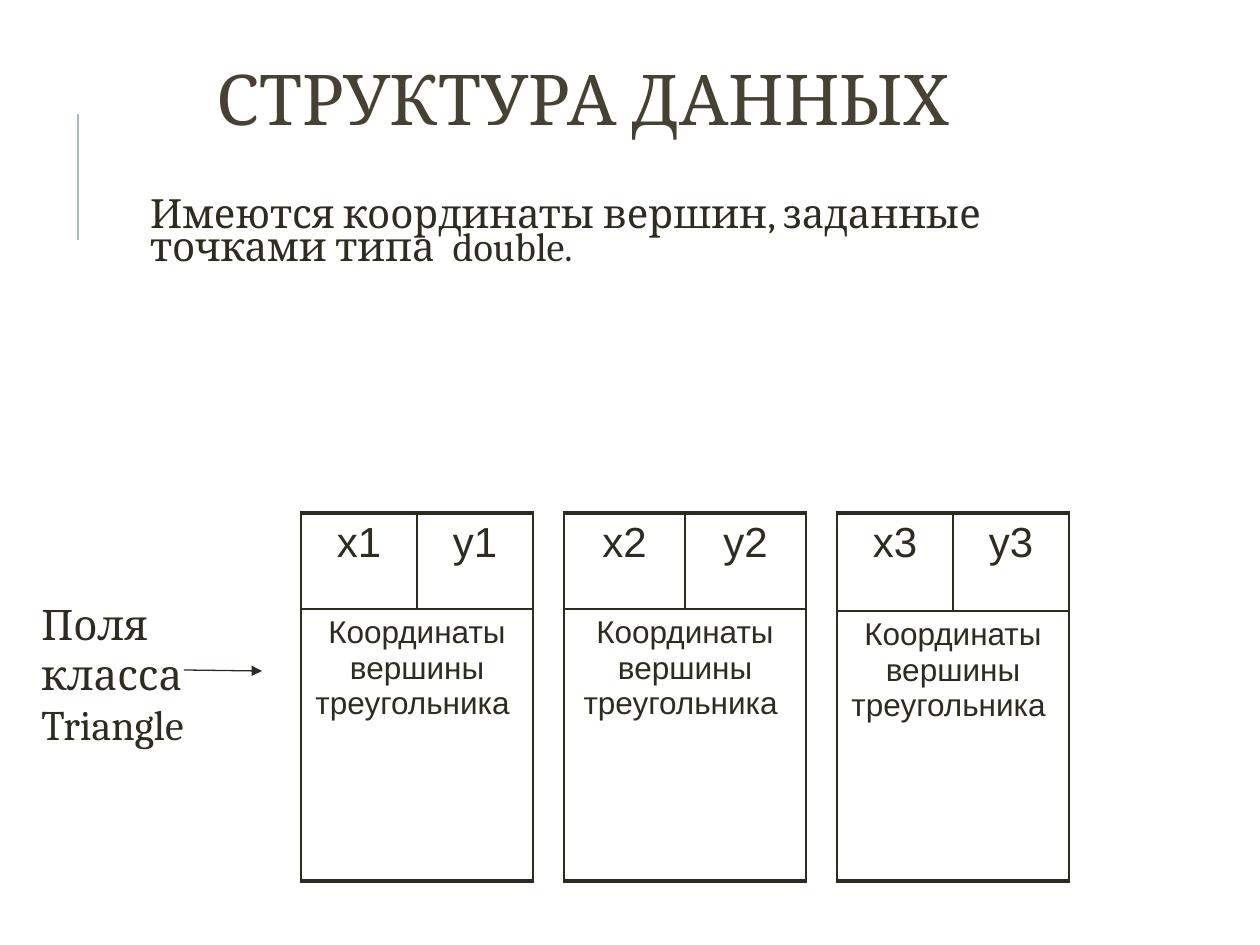
from lxml.etree import SubElement
from pptx import Presentation
from pptx.dml.color import RGBColor
from pptx.enum.shapes import MSO_CONNECTOR
from pptx.enum.text import MSO_ANCHOR, MSO_AUTO_SIZE, PP_ALIGN
from pptx.oxml.ns import qn
from pptx.util import Pt


class Theme:
    text = RGBColor(0x2E, 0x2B, 0x21)
    title = RGBColor(0x46, 0x41, 0x32)
    accent = RGBColor(0x9C, 0xBE, 0xBD)
    serif, sans = "Cambria", "Arial"
    title_size, body_size, label_size, note_size = Pt(40), Pt(23), Pt(24), Pt(18)
    thin, thick = Pt(1), Pt(2.25)


PX = 914400 / 126  # EMU per pixel


def box(*lengths):
    return [round(length * PX) for length in lengths]


def style(paragraph, name, size, color, alignment=PP_ALIGN.LEFT, spacing=1.0):
    paragraph.font.name, paragraph.font.size = name, size
    paragraph.font.color.rgb = color
    paragraph.alignment = alignment
    paragraph.line_spacing = spacing
    paragraph.space_before = Pt(0)


presentation = Presentation()
presentation.slide_width, presentation.slide_height = box(1260, 945)
slide = presentation.slides.add_slide(presentation.slide_layouts[1])

# Title
title = slide.shapes.title
title.left, title.top, title.width, title.height = box(63, 16, 1040, 179)
frame = title.text_frame
frame.text = "СТРУКТУРА ДАННЫХ"
frame.auto_size = MSO_AUTO_SIZE.NONE
frame.vertical_anchor = MSO_ANCHOR.MIDDLE
style(frame.paragraphs[0], Theme.serif, Theme.title_size, Theme.title, PP_ALIGN.CENTER, 0.8)

# Body text
body = slide.placeholders[1]
body.left, body.top, body.width, body.height = box(131, 195, 963, 208)
frame = body.text_frame
frame.text = "Имеются координаты вершин, заданные точками типа  double."
frame.auto_size = MSO_AUTO_SIZE.NONE
frame.margin_left = frame.margin_top = frame.margin_right = frame.margin_bottom = box(6)[0]
paragraph = frame.paragraphs[0]
style(paragraph, Theme.serif, Theme.body_size, Theme.text, spacing=0.7)
properties = paragraph._p.get_or_add_pPr()
properties.set("marL", str(box(13)[0]))
properties.set("indent", "0")
SubElement(properties, qn("a:buNone"))

# Accent rule and arrow from the label to the tables
for ends, color, width, arrow in (
    ((78, 240, 78, 114), Theme.accent, Pt(1.5), False),
    ((184, 670, 262, 671), Theme.text, Pt(0.75), True),
):
    connector = slide.shapes.add_connector(MSO_CONNECTOR.STRAIGHT, *box(*ends))
    connector.line.color.rgb, connector.line.width = color, width
    if arrow:
        SubElement(connector.line._get_or_add_ln(), qn("a:tailEnd"), type="triangle")
    SubElement(connector._element.spPr, qn("a:effectLst"))

# Label of the class fields
label = slide.shapes.add_textbox(*box(29, 592, 233, 164))
frame = label.text_frame
frame.word_wrap = True
frame.text = "Поля класса Triangle"
style(frame.paragraphs[0], Theme.serif, Theme.label_size, Theme.text)

# One table of coordinates for each vertex
for number, (left, column_width, head_height) in enumerate(
    ((301, 116, 96), (564, 121, 96), (837, 116, 98)), start=1
):
    table = slide.shapes.add_table(2, 2, *box(left, 513, 2 * column_width, 368)).table
    table.first_row = table.horz_banding = False
    for column in table.columns:
        column.width = box(column_width)[0]
    table.rows[0].height, table.rows[1].height = box(head_height, 368 - head_height)
    table.cell(1, 0).merge(table.cell(1, 1))
    table.cell(0, 0).text, table.cell(0, 1).text = f"x{number}", f"y{number}"
    table.cell(1, 0).text = "Координаты вершины треугольника "

    for row in range(2):
        size = Theme.note_size if row else Theme.label_size
        for column in range(2):
            cell = table.cell(row, column)
            style(cell.text_frame.paragraphs[0], Theme.sans, size, Theme.text, PP_ALIGN.CENTER)
            properties = cell._tc.get_or_add_tcPr()
            for side in "LRTB":
                outer = (row, side) in ((0, "T"), (1, "B"))
                width = Theme.thick if outer else Theme.thin
                border = SubElement(properties, qn(f"a:ln{side}"), w=str(width))
                fill = SubElement(border, qn("a:solidFill"))
                SubElement(fill, qn("a:srgbClr"), val=str(Theme.text))
            cell.fill.background()

presentation.save("out.pptx")
